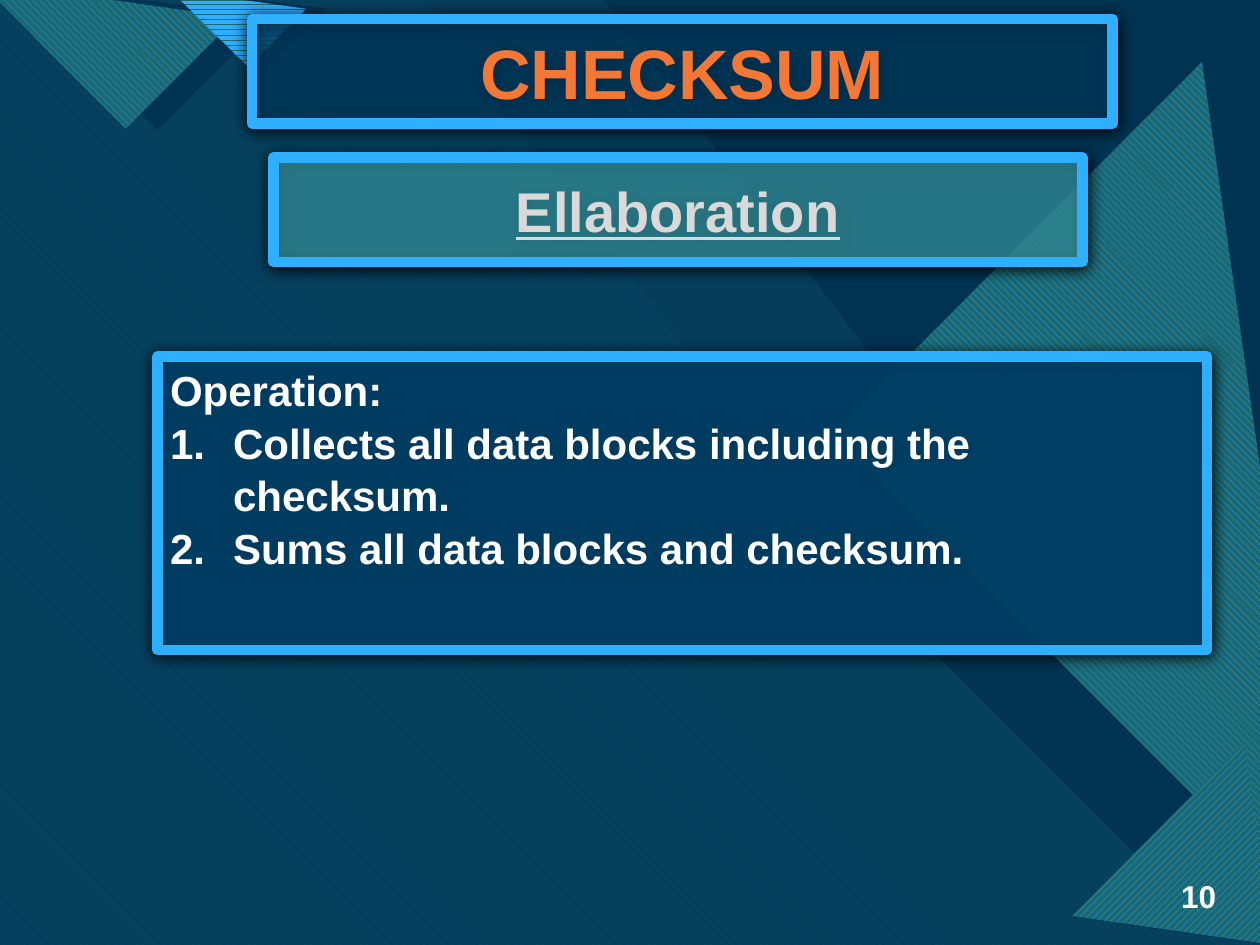
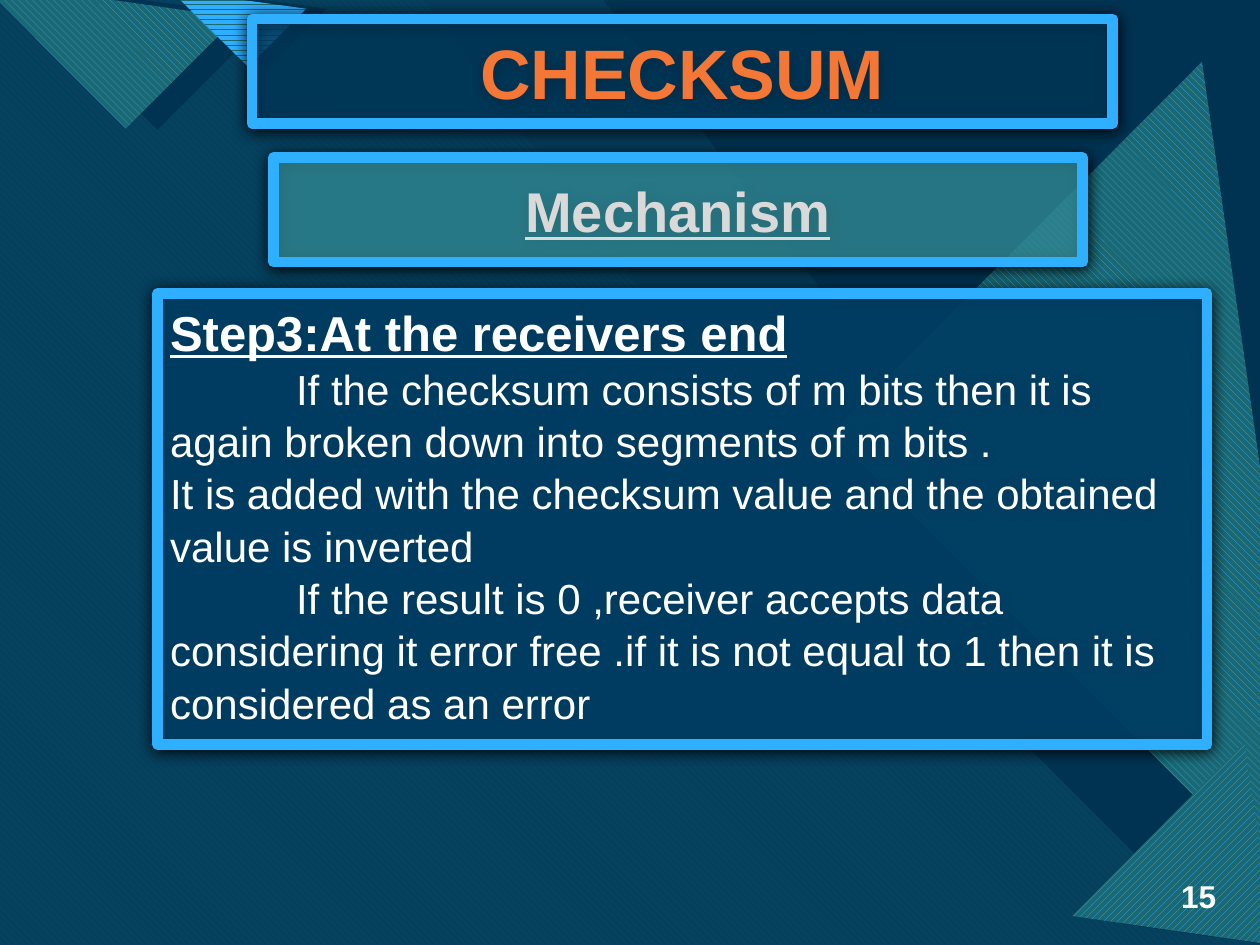
from lxml.etree import SubElement
from pptx import Presentation
from pptx.dml.color import RGBColor
from pptx.enum.dml import MSO_PATTERN_TYPE as Pattern
from pptx.enum.shapes import MSO_SHAPE as Shape
from pptx.enum.text import MSO_ANCHOR as Anchor, MSO_AUTO_SIZE as AutoSize, PP_ALIGN as Align
from pptx.oxml.ns import qn
from pptx.util import Inches, Pt

COLORS = {
    "base": "0C4360", "navy": "003352", "aqua": "47C3D3", "teal": "1B6872",
    "sky": "2FAFFF", "ocean": "0065A4", "panel": "004C7B", "orange": "F47735",
    "silver": "D9D9D9", "white": "FFFFFF", "black": "000000",
}
DOWN, UP, FLAT = (Pattern.WIDE_DOWNWARD_DIAGONAL, Pattern.WIDE_UPWARD_DIAGONAL,
                  Pattern.DARK_HORIZONTAL)
DECOR = [
    ({"color": "aqua", "alpha": 74},
     [(0, 0), (6.2, 0), (8.42, 2.97), (9.26, 2.97), (10, 3.96), (10, 7.5), (0, 7.5)]),
    ({"pattern": DOWN, "color": "ocean", "back": "aqua"},
     [(0, 0), (3.36, 0), (5.6, 2.97), (6.54, 2.97), (9.94, 7.5), (0, 7.5)]),
    ({"color": "navy"}, [(4.79, 0), (10, 0), (10, 6.92)]),
    ({"color": "navy", "alpha": 90},
     [(0, 0), (5.21, 0), (7.44, 2.97), (8.39, 2.97), (10, 5.13), (10, 7.5), (0, 7.5)]),
    ({"color": "navy"}, [(9.57, 1.19), (10.42, 7.16), (9.21, 6.98), (6.5, 4.27)]),
    ({"pattern": DOWN, "color": "sky", "back": "teal"},
     [(9.54, 0.49), (10.48, 7.05), (10.17, 7.01), (6.6, 3.44)]),
    ({"color": "navy"}, [(9.91, 6.31), (10.08, 7.5), (8.89, 7.33)]),
    ({"pattern": UP, "color": "sky", "back": "teal"},
     [(9.88, 5.89), (10.11, 7.5), (8.51, 7.27)]),
    ({"color": "navy"}, [(2.14, 0.14), (1.25, 1.03), (0.07, -0.15)]),
    ({"pattern": DOWN, "color": "sky", "back": "teal"},
     [(-0.17, -0.15), (1, 1.02), (1.88, 0.14)]),
    ({"color": "navy"}, [(2.59, 0.07), (2.12, 0.55), (1.49, -0.08)]),
    ({"pattern": FLAT, "color": "sky", "back": "teal"},
     [(1.35, -0.08), (1.97, 0.53), (2.43, 0.07)]),
]
TITLE_BOX = (2, 0.15, 6.83, 0.83)
BAND_BOX = (2.17, 1.25, 6.42, 0.83)
NUMBER_BOX = (9.23, 6.91, 0.52, 0.4)
TITLE_FONT = {"size": Pt(40), "bold": True, "color": "orange"}
BAND_FONT = {"size": Pt(32), "bold": True, "underline": True, "color": "silver"}
NUMBER_FONT = {"size": Pt(18), "bold": True, "color": "white"}
HEAD_FONT = {"size": Pt(28), "bold": True, "underline": True, "color": "white"}
BOLD_FONT = {"size": Pt(24), "bold": True, "color": "white"}
PLAIN_FONT = {"size": Pt(24), "bold": False, "color": "white"}
NUMBERED = {"margin": 0.5, "indent": -0.5, "bullet": "arabicPeriod"}
OPENING = {"indent": 1}
SLIDES = [
    {"band": "Ellaboration", "number": "10", "box": (1.25, 2.83, 8.33, 2.33), "lines": [
        ("Operation:", BOLD_FONT, {}),
        ("Collects all data blocks including the checksum.", BOLD_FONT, NUMBERED),
        ("Sums all data blocks and checksum.", BOLD_FONT, NUMBERED)]},
    {"band": "Mechanism", "number": "15", "box": (1.25, 2.33, 8.33, 3.58), "lines": [
        ("Step3:At the receivers end", HEAD_FONT, {}),
        ("If the checksum consists of m bits then it is again broken down into "
         "segments of m bits .", PLAIN_FONT, OPENING),
        ("It is added with the checksum value and the obtained value is inverted",
         PLAIN_FONT, {}),
        ("If the result is 0 ,receiver accepts data considering it error free .if it "
         "is not equal to 1 then it is considered as an error", PLAIN_FONT, OPENING)]},
]


def rgb(name):
    """Return the named colour."""
    return RGBColor.from_string(COLORS[name])


def paint(shape, color, alpha=100, pattern=None, back=None):
    """Fill a shape with a plain, see-through or patterned colour."""
    fill = shape.fill
    if pattern is None:
        fill.solid()
        fill.fore_color.rgb = rgb(color)
        if alpha < 100:
            swatch = shape._element.spPr.find(f"{qn('a:solidFill')}/{qn('a:srgbClr')}")
            SubElement(swatch, qn("a:alpha"), val=str(alpha * 1000))
    else:
        fill.patterned()
        fill.pattern = pattern
        fill.fore_color.rgb, fill.back_color.rgb = rgb(color), rgb(back)


def place(shape, box):
    """Move a shape to a box given in inches."""
    for name, value in zip(("left", "top", "width", "height"), box):
        setattr(shape, name, Inches(value))


def frame(shape, color, alpha):
    """Give a shape the thick sky-blue border, tinted fill and soft shadow."""
    paint(shape, color, alpha)
    shape.line.color.rgb = rgb("sky")
    shape.line.width = Pt(6)
    shape.shadow.inherit = False
    effects = shape._element.spPr.find(qn("a:effectLst"))
    shadow = SubElement(effects, qn("a:outerShdw"), blurRad=str(Pt(8.5)),
                        dist=str(Pt(1)), dir="5400000", rotWithShape="0")
    SubElement(shadow, qn("a:srgbClr"), val=COLORS["black"])


def write(para, text, style, align=Align.LEFT):
    """Write one run with its font values."""
    para.alignment = align
    span = para.add_run()
    span.text = text
    span.font.name = "Arial"
    for name, value in style.items():
        if name == "color":
            span.font.color.rgb = rgb(value)
        else:
            setattr(span.font, name, value)


def set_frame(shape, anchor):
    """Wrap the text of a shape, anchor it and keep its size."""
    for name, value in {"word_wrap": True, "auto_size": AutoSize.NONE,
                        "vertical_anchor": anchor}.items():
        setattr(shape.text_frame, name, value)


def add_label(shape, text, style, align=Align.CENTER):
    """Write a single middle-anchored line in a shape."""
    set_frame(shape, Anchor.MIDDLE)
    write(shape.text_frame.paragraphs[0], text, style, align)


def add_body(body, box, lines):
    """Fill the framed body placeholder with its paragraphs."""
    place(body, box)
    frame(body, "panel", 75)
    set_frame(body, Anchor.TOP)
    for index, (text, style, layout) in enumerate(lines):
        text_frame = body.text_frame
        para = text_frame.add_paragraph() if index else text_frame.paragraphs[0]
        para.space_before = Pt(0)
        para.line_spacing = 1.04
        write(para, text, style)
        props = para._p.get_or_add_pPr()
        props.set("marL", str(Inches(layout.get("margin", 0))))
        props.set("indent", str(Inches(layout.get("indent", 0))))
        if "bullet" in layout:
            SubElement(props, qn("a:buFont"), typeface="+mj-lt")
            SubElement(props, qn("a:buAutoNum"), type=layout["bullet"])
        else:
            SubElement(props, qn("a:buNone"))


def add_decor(page, layout):
    """Draw the shared backdrop and hand it to the layout."""
    layout.background.fill.solid()
    layout.background.fill.fore_color.rgb = rgb("base")
    for style, points in DECOR:
        start, *others = [(Inches(x), Inches(y)) for x, y in points]
        builder = page.shapes.build_freeform(*start)
        builder.add_line_segments(others, close=True)
        facet = builder.convert_to_shape()
        paint(facet, **style)
        facet.line.fill.background()
        facet.shadow.inherit = False
        layout.shapes._spTree.append(facet._element)


def add_content(page, content):
    """Place the title, band, body and number on a page."""
    title, body = page.shapes.title, page.placeholders[1]
    place(title, TITLE_BOX)
    frame(title, "panel", 55)
    add_label(title, "CHECKSUM", TITLE_FONT)
    band = page.shapes.add_shape(Shape.RECTANGLE, *map(Inches, BAND_BOX))
    frame(band, "aqua", 55)
    add_label(band, content["band"], BAND_FONT)
    add_body(body, content["box"], content["lines"])
    number = page.shapes.add_textbox(*map(Inches, NUMBER_BOX))
    add_label(number, content["number"], NUMBER_FONT, Align.RIGHT)


def main():
    """Build the deck."""
    deck = Presentation()
    deck.slide_width, deck.slide_height = Inches(10), Inches(7.5)
    layout = deck.slide_layouts[1]
    pages = [deck.slides.add_slide(layout) for _ in SLIDES]
    add_decor(pages[0], layout)
    for page, content in zip(pages, SLIDES):
        add_content(page, content)
    deck.save("out.pptx")


if __name__ == "__main__":
    main()
